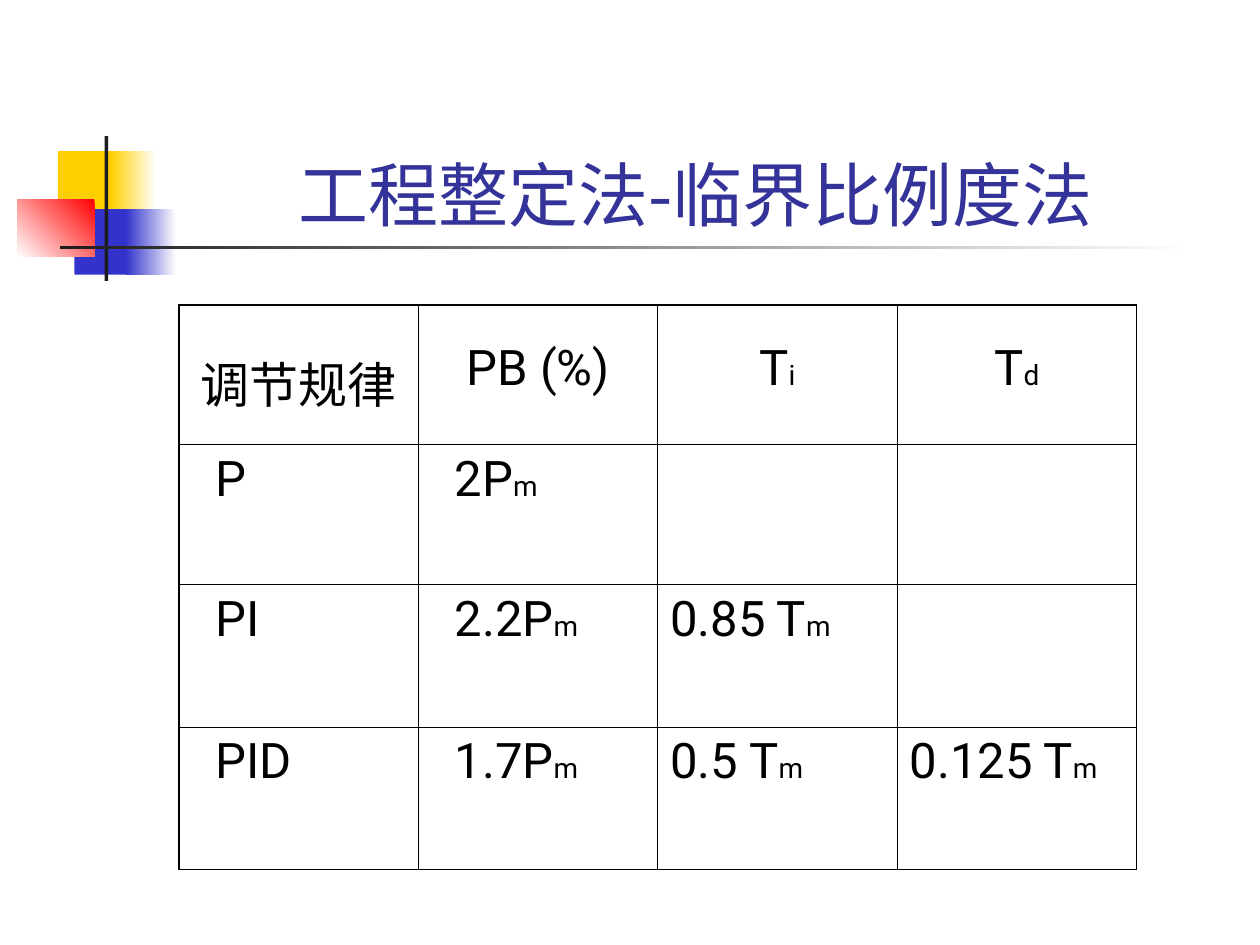
from pptx import Presentation
from pptx.dml.color import RGBColor
from pptx.enum.shapes import MSO_SHAPE
from pptx.enum.text import MSO_ANCHOR, MSO_AUTO_SIZE, PP_ALIGN
from pptx.oxml.ns import qn
from pptx.util import Inches, Pt
from lxml.etree import SubElement

CJK, LATIN = "Noto Sans CJK SC", "Roboto"


def color(value):
    return RGBColor.from_string(value)


def add_text(para, text, size=28, fill="000000", font=LATIN):
    span = para.add_run()
    span.text = text
    span.font.size = Pt(size)
    span.font.name = font
    span.font.color.rgb = color(fill)
    SubElement(span.font._element, qn("a:ea")).set("typeface", CJK)


def set_border(cell, side, width):
    line = SubElement(cell._tc.get_or_add_tcPr(), qn(f"a:ln{side}"), w=str(Pt(width)))
    fill = SubElement(line, qn("a:solidFill"))
    SubElement(fill, qn("a:srgbClr"), val="000000")


class SlideBuilder:
    ink = "1C1C1C"
    title_color = "333399"
    outer, inner = 1.08, 0.45

    def __init__(self, page):
        self.page = page

    def block(self, left, top, width, height, start, end=None, angle=180):
        """Draw a borderless rectangle, solid or fading from start to end."""
        box = self.page.shapes.add_shape(
            MSO_SHAPE.RECTANGLE, Inches(left), Inches(top), Inches(width), Inches(height))
        box.shadow.inherit = False
        box.line.fill.background()
        if end is None:
            box.fill.solid()
            box.fill.fore_color.rgb = color(start)
            return
        box.fill.gradient()
        box.fill.gradient_angle = angle
        for stop, value in zip(box.fill.gradient_stops, (start, end)):
            stop.color.rgb = color(value)

    def title(self, text, left, top, width, height):
        box = self.page.shapes.title
        box.left, box.top = Inches(left), Inches(top)
        box.width, box.height = Inches(width), Inches(height)
        frame = box.text_frame
        frame.word_wrap = True
        frame.auto_size = MSO_AUTO_SIZE.NONE
        frame.vertical_anchor = MSO_ANCHOR.BOTTOM
        para = frame.paragraphs[0]
        para.alignment = PP_ALIGN.CENTER
        add_text(para, text, size=40, fill=self.title_color, font=CJK)

    def table(self, rows, left, top, col_width, row_heights):
        """Each entry is a (text, subscript) pair."""
        row_count, col_count = len(rows), len(rows[0])
        table = self.page.shapes.add_table(
            row_count, col_count, Inches(left), Inches(top),
            Inches(col_width * col_count), Inches(sum(row_heights))).table
        table.first_row = table.horz_banding = False
        for column in table.columns:
            column.width = Inches(col_width)
        for r, entries in enumerate(rows):
            table.rows[r].height = Inches(row_heights[r])
            for c, (text, subscript) in enumerate(entries):
                cell = table.cell(r, c)
                edges = {"L": c == 0, "R": c == col_count - 1,
                         "T": r == 0, "B": r == row_count - 1}
                for side, is_outer in edges.items():
                    set_border(cell, side, self.outer if is_outer else self.inner)
                cell.fill.background()
                para = cell.text_frame.paragraphs[0]
                if r == 0:
                    para.alignment = PP_ALIGN.CENTER
                    para.line_spacing = 1.5
                elif c < 2:
                    cell.margin_left = Inches(0.29)
                if text:
                    add_text(para, text)
                if subscript:
                    add_text(para, subscript, size=16)


def main():
    deck = Presentation()
    deck.slide_width, deck.slide_height = Inches(10), Inches(7.5)
    slide = SlideBuilder(deck.slides.add_slide(deck.slide_layouts[5]))

    # Overlapping colour blocks and the crossing rules
    slide.block(0.46, 1.2, 0.48, 0.52, "FFCF01")
    slide.block(0.88, 1.2, 0.36, 0.52, "FFFFFF", "FFCF01")
    slide.block(0.59, 1.66, 0.46, 0.52, "3333CC")
    slide.block(1, 1.66, 0.4, 0.52, "FFFFFF", "3333CC")
    slide.block(0.14, 1.58, 0.61, 0.46, "FF0000", "FFFFFF", angle=225)
    slide.block(0.83, 1.08, 0.03, 1.15, slide.ink)
    slide.block(0.48, 1.95, 9, 0.03, "FFFFFF", slide.ink)

    slide.title("工程整定法-临界比例度法", 1.26, 0.67, 8.52, 1.25)

    # Tuning parameters for each control law
    blank = ("", "")
    rows = [
        [("调节规律", ""), ("PB (%)", ""), ("T", "i"), ("T", "d")],
        [("P", ""), ("2P", "m"), blank, blank],
        [("PI", ""), ("2.2P", "m"), ("0.85 T", "m"), blank],
        [("PID", ""), ("1.7P", "m"), ("0.5 T", "m"), ("0.125 T", "m")],
    ]
    slide.table(rows, 1.42, 2.42, 1.9, [1.11, 1.11, 1.13, 1.13])

    deck.save("out.pptx")


if __name__ == "__main__":
    main()
